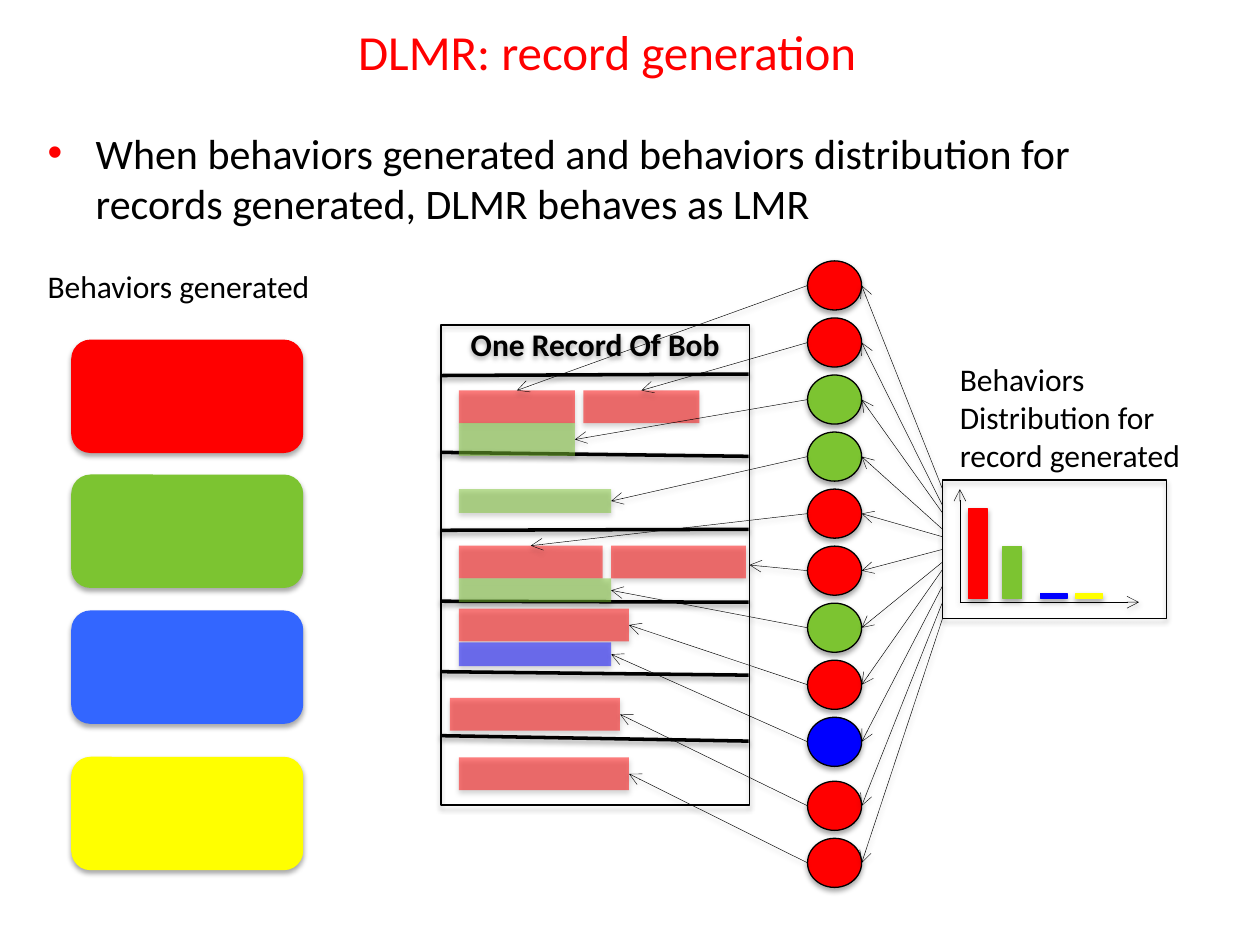
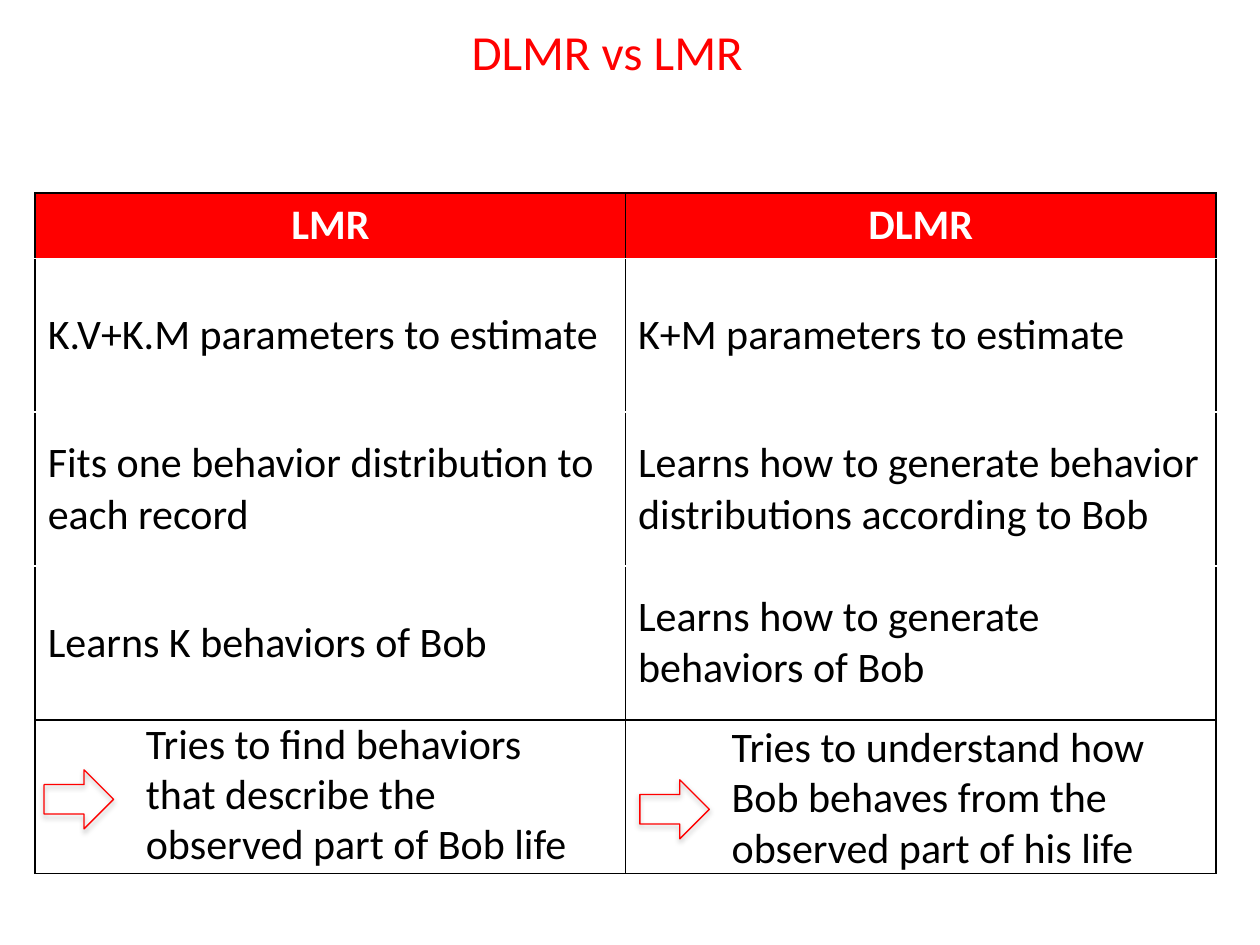
import dataclasses

import pptx
import pptx.dml.color
import pptx.enum.shapes
import pptx.enum.text
import pptx.oxml.ns
import pptx.util
from lxml import etree

Cm = pptx.util.Cm
Pt = pptx.util.Pt
SHAPE = pptx.enum.shapes.MSO_SHAPE
ALIGN = pptx.enum.text.PP_ALIGN
ANCHOR = pptx.enum.text.MSO_ANCHOR
qn = pptx.oxml.ns.qn

TOP, LEFT, RIGHT = 0, 1, 3


@dataclasses.dataclass(frozen=True)
class Theme:
    font: str = "Calibri"
    red: str = "FF0000"
    green: str = "7CC431"
    blue: str = "0000FF"
    light_blue: str = "3366FF"
    yellow: str = "FFFF00"
    black: str = "000000"
    white: str = "FFFFFF"
    title_size: float = 28
    body_size: float = 24
    label_size: float = 18
    outline: float = 0.75
    hairline: float = 0.25
    divider: float = 2
    border: float = 1


def rgb(color):
    return pptx.dml.color.RGBColor.from_string(color)


def add_child(parent, tag, **attributes):
    child = etree.SubElement(parent, qn(tag))
    for name, value in attributes.items():
        child.set(name, str(value))
    return child


class Deck:
    def __init__(self, theme):
        self.theme = theme
        self.presentation = pptx.Presentation()
        self.presentation.slide_width = Cm(25.4)
        self.presentation.slide_height = Cm(19.05)
        self.slide = None

    def new_slide(self, title):
        self.slide = self.presentation.slides.add_slide(self.presentation.slide_layouts[5])
        shape = self.slide.shapes.title
        shape.left, shape.top, shape.width, shape.height = Cm(-0.41), Cm(0.15), Cm(25.3), Cm(1.75)
        shape.text_frame.vertical_anchor = ANCHOR.MIDDLE
        self.add_text(shape.text_frame, title, self.theme.title_size, self.theme.red, ALIGN.CENTER)

    def add_text(self, frame, text, size, color, align=ALIGN.LEFT, bold=False):
        paragraph = frame.paragraphs[0]
        paragraph.alignment = align
        run = paragraph.add_run()
        run.text = text
        run.font.name = self.theme.font
        run.font.size = Pt(size)
        run.font.bold = bold
        run.font.color.rgb = rgb(color)
        return paragraph

    def cast_shadow(self, effects, opacity, distance):
        shadow = add_child(effects, "a:outerShdw", blurRad=Pt(3.1), dist=Pt(distance),
                           dir=5400000, rotWithShape=0)
        color = add_child(shadow, "a:srgbClr", val=self.theme.black)
        add_child(color, "a:alpha", val=opacity * 1000)

    def shape(self, kind, box, fill=None, line=None, opacity=100):
        shape = self.slide.shapes.add_shape(kind, *map(Cm, box))
        if fill:
            shape.fill.solid()
            shape.fill.fore_color.rgb = rgb(fill)
            if opacity < 100:
                color = shape.element.spPr.find(qn("a:solidFill"))[0]
                add_child(color, "a:alpha", val=opacity * 1000)
        else:
            shape.fill.background()
        if line:
            shape.line.color.rgb = rgb(line)
            shape.line.width = Pt(self.theme.outline)
        else:
            shape.line.fill.background()
        shape.shadow.inherit = False
        self.cast_shadow(shape.element.spPr.find(qn("a:effectLst")), 35, 1.8)
        return shape

    def line(self, start, end=None, width=None, arrow=True, begin_joint=None, end_joint=None):
        end = end or start
        connector = self.slide.shapes.add_connector(
            pptx.enum.shapes.MSO_CONNECTOR.STRAIGHT, *map(Cm, (*start, *end)))
        connector.line.color.rgb = rgb(self.theme.black)
        connector.line.width = Pt(width or self.theme.hairline)
        properties = connector.element.spPr
        if arrow:
            add_child(properties.find(qn("a:ln")), "a:tailEnd", type="arrow")
        self.cast_shadow(add_child(properties, "a:effectLst"), 38, 1.6)
        if begin_joint:
            connector.begin_connect(*begin_joint)
        if end_joint:
            connector.end_connect(*end_joint)

    def text(self, box, text, size):
        frame = self.slide.shapes.add_textbox(*map(Cm, box)).text_frame
        frame.word_wrap = True
        return self.add_text(frame, text, size, self.theme.black)

    def bullet_text(self, box, text):
        properties = self.text(box, text, self.theme.body_size)._p.get_or_add_pPr()
        properties.set("marL", str(Cm(0.97)))
        properties.set("indent", str(Cm(-0.97)))
        add_child(add_child(properties, "a:buClr"), "a:srgbClr", val=self.theme.red)
        add_child(properties, "a:buFont", typeface="Arial")
        add_child(properties, "a:buChar", char="•")

    def borders(self, cell, sides):
        properties = cell._tc.get_or_add_tcPr()
        for side in sides:
            border = add_child(properties, f"a:ln{side}", w=Pt(self.theme.border))
            add_child(add_child(border, "a:solidFill"), "a:srgbClr", val=self.theme.black)

    def table(self, left, top, column_width, row_heights, rows):
        table = self.slide.shapes.add_table(
            len(rows), len(rows[0]), Cm(left), Cm(top),
            Cm(column_width * len(rows[0])), Cm(sum(row_heights))).table
        table.first_row = table.horz_banding = False
        for column in table.columns:
            column.width = Cm(column_width)
        last = len(rows) - 1
        sides = {0: "LRT", last - 1: "LRB", last: "LRTB"}
        for row_index, (texts, height) in enumerate(zip(rows, row_heights)):
            table.rows[row_index].height = Cm(height)
            for column_index, text in enumerate(texts):
                cell = table.cell(row_index, column_index)
                self.borders(cell, sides.get(row_index, "LR"))
                if row_index == 0:
                    cell.fill.solid()
                    cell.fill.fore_color.rgb = rgb(self.theme.red)
                    self.add_text(cell.text_frame, text, self.theme.body_size,
                                  self.theme.white, ALIGN.CENTER, True)
                    continue
                cell.fill.background()
                cell.vertical_anchor = ANCHOR.MIDDLE
                if text:
                    self.add_text(cell.text_frame, text, self.theme.body_size, self.theme.black)


def draw_record(deck):
    theme = deck.theme
    dividers = [(7.57, 7.54), (9.12, 9.2), (10.69, 10.67),
                (12.12, 12.14), (13.54, 13.61), (14.83, 14.94)]
    for left_y, right_y in dividers:
        deck.line((8.89, left_y), (15.09, right_y), theme.divider, arrow=False)
    record = deck.shape(SHAPE.RECTANGLE, (8.89, 6.55, 6.22, 9.68), line=theme.black)
    record.text_frame.vertical_anchor = ANCHOR.TOP
    record.text_frame.margin_top = 0
    deck.add_text(record.text_frame, "One Record Of Bob", theme.label_size,
                  theme.black, ALIGN.CENTER, True)
    return record


def draw_distribution(deck):
    theme = deck.theme
    baseline = 12.06
    bars = [(19.53, 0.38, 1.8, theme.red), (20.22, 0.38, 1.04, theme.green),
            (20.98, 0.53, 0.1, theme.blue), (21.69, 0.53, 0.1, theme.yellow)]
    for left, width, height, color in bars:
        deck.shape(SHAPE.RECTANGLE, (left, baseline - height, width, height), color, color)
    origin = (19.35, 12.14)
    for axis_end in [(22.96, 12.14), (19.35, 9.86)]:
        deck.line(origin, axis_end)
    return deck.shape(SHAPE.RECTANGLE, (19, 9.68, 4.52, 2.79), line=theme.black)


def draw_words(deck, record, distribution):
    theme = deck.theme
    red, green, blue = theme.red, theme.green, theme.blue
    words = [
        (red, (9.25, 7.87, 2.34, 0.66), TOP, 9.86),
        (red, (11.76, 7.87, 2.34, 0.66), TOP, 10.19),
        (green, (9.25, 8.53, 2.34, 0.66), RIGHT, 10.34),
        (green, (9.25, 9.86, 3.07, 0.48), RIGHT, 10.67),
        (red, (9.25, 11, 2.9, 0.66), TOP, 10.82),
        (red, (12.32, 11, 2.72, 0.66), None, 11.07),
        (green, (9.25, 11.66, 3.07, 0.48), RIGHT, 11.33),
        (red, (9.25, 12.27, 3.43, 0.66), RIGHT, 11.48),
        (blue, (9.25, 12.95, 3.07, 0.48), RIGHT, 11.81),
        (red, (9.07, 14.07, 3.43, 0.66), RIGHT, 12.14),
        (red, (9.25, 15.27, 3.43, 0.66), RIGHT, 12.47),
    ]
    left, width, height = 16.28, 1.09, 0.99
    middle_word = len(words) // 2
    for index, (color, block_box, side, fan_y) in enumerate(words):
        top = 5.26 + 1.15 * index + (0.14 if index > 8 else 0)
        center = top + height / 2
        deck.shape(SHAPE.OVAL, (left, top, width, height), color, theme.black)
        block = deck.shape(SHAPE.RECTANGLE, block_box, color, opacity=50)
        deck.line((19, fan_y), (left + width, center),
                  begin_joint=(distribution, LEFT) if index == middle_word else None)
        deck.line((left, center),
                  end_joint=(record, RIGHT) if side is None else (block, side))


def build_record_slide(deck):
    theme = deck.theme
    deck.new_slide("DLMR: record generation")
    record = draw_record(deck)
    behaviors = [(6.86, theme.red), (9.58, theme.green),
                 (12.32, theme.light_blue), (15.27, theme.yellow)]
    for top, color in behaviors:
        deck.shape(SHAPE.ROUNDED_RECTANGLE, (1.45, top, 4.65, 2.26), color, color)
    distribution = draw_distribution(deck)
    draw_words(deck, record, distribution)
    deck.text((0.71, 5.26, 7.19, 1.02), "Behaviors generated", theme.label_size)
    deck.text((19.1, 7.14, 6.2, 2.57), "Behaviors Distribution for record generated",
              theme.label_size)
    deck.bullet_text((0.71, 2.44, 23.39, 2.31),
                     "When behaviors generated and behaviors distribution for "
                     "records generated, DLMR behaves as LMR")


def build_comparison_slide(deck):
    deck.new_slide("DLMR vs LMR")
    deck.table(0.71, 3.89, 11.9, [1.32] + [3.1] * 4, [
        ("LMR", "DLMR"),
        ("K.V+K.M parameters to estimate", "K+M parameters to estimate"),
        ("Fits one behavior distribution to each record",
         "Learns how to generate behavior distributions according to Bob"),
        ("Learns K behaviors of Bob", "Learns how to generate behaviors of Bob"),
        ("", ""),
    ])
    conclusions = [
        (0.89, 15.52, 2.69, 14.33,
         "Tries to find behaviors that describe the observed part of Bob life"),
        (12.9, 15.72, 14.5, 14.4,
         "Tries to understand how Bob behaves from the observed part of his life"),
    ]
    for arrow_left, arrow_top, text_left, text_top, text in conclusions:
        deck.shape(SHAPE.RIGHT_ARROW, (arrow_left, arrow_top, 1.4, 1.19), line=deck.theme.red)
        deck.text((text_left, text_top, 9.6, 3.33), text, deck.theme.body_size)


def main():
    deck = Deck(Theme())
    build_record_slide(deck)
    build_comparison_slide(deck)
    deck.presentation.save("out.pptx")


if __name__ == "__main__":
    main()
